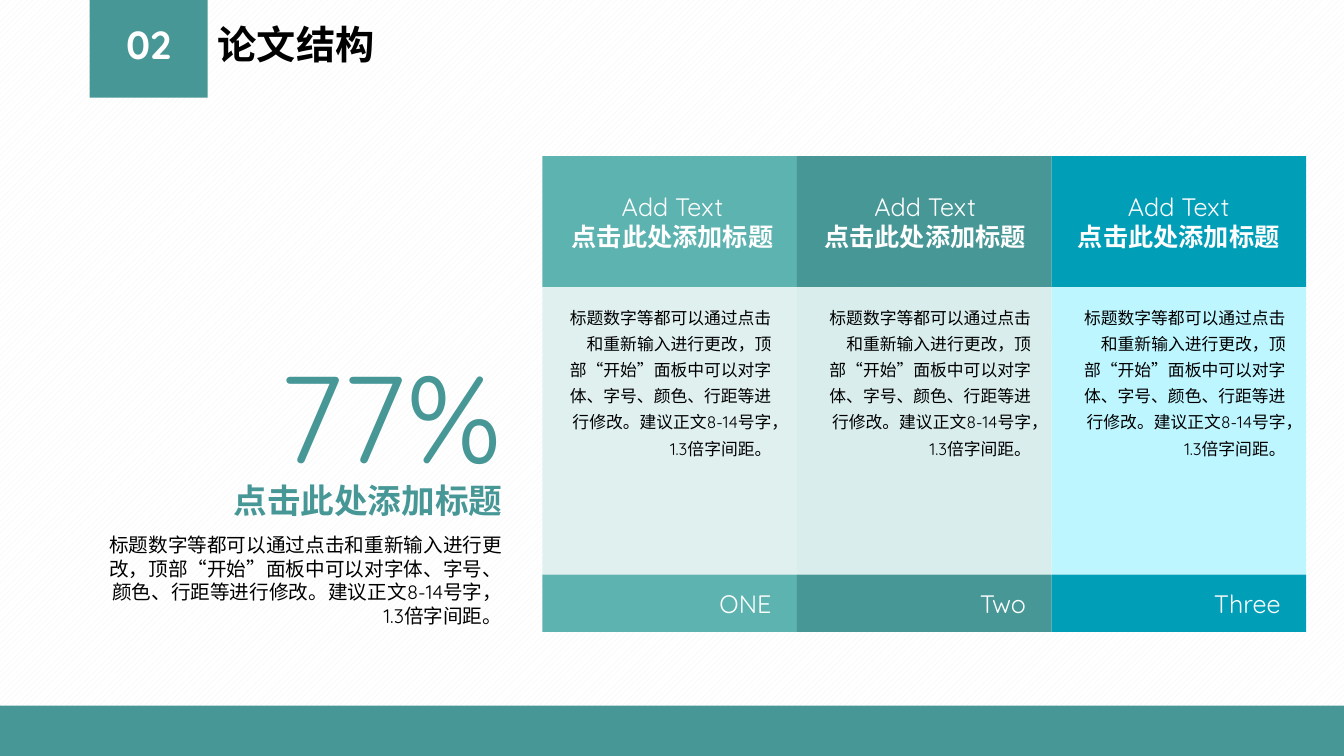
from pptx import Presentation
from pptx.dml.color import RGBColor
from pptx.enum.dml import MSO_PATTERN
from pptx.enum.shapes import MSO_SHAPE
from pptx.enum.text import MSO_ANCHOR, MSO_AUTO_SIZE, PP_ALIGN
from pptx.util import Inches, Pt

FONT = "Quicksand"
TEAL, WHITE, BLACK = "479796", "FFFFFF", "000000"
SLIDE_WIDTH, SLIDE_HEIGHT = 13.33, 7.5

# Left margin and heading row
MARGIN = 0.89
TAB_WIDTH, TAB_HEIGHT = 1.17, 0.97
HEADING_TOP, HEADING_HEIGHT = 0.23, 0.47
SUMMARY_RIGHT = 5.08

# Card grid: three columns of three rows
GRID_LEFT, GRID_TOP = 5.38, 1.55
COLUMN_WIDTH = 2.525
HEADER_ROW, BODY_ROW, FOOTER_ROW = 1.3, 2.85, 0.57
BODY_TOP = GRID_TOP + HEADER_ROW
FOOTER_TOP = BODY_TOP + BODY_ROW

SUBTITLE = "点击此处添加标题"
DESCRIPTION = ("标题数字等都可以通过点击和重新输入进行更改，顶部“开始”面板中可以对字体、"
               "字号、颜色、行距等进行修改。建议正文8-14号字，1.3倍字间距。")

# Footer label, strong fill, pale fill, header text inset, body text inset
CARDS = [
    ("ONE", "5DB3B0", "DFF0EF", 0.18, 0.06),
    ("Two", TEAL, "D8EDEC", 0.16, 0.11),
    ("Three", "009EB7", "BEF6FF", 0.15, 0.11),
]


def color(value):
    return RGBColor.from_string(value)


def inches(*lengths):
    return [Inches(length) for length in lengths]


def add_block(shapes, left, top, width, height, fill):
    block = shapes.add_shape(MSO_SHAPE.RECTANGLE, *inches(left, top, width, height))
    block.shadow.inherit = False
    block.fill.solid()
    block.fill.fore_color.rgb = color(fill)
    block.line.fill.background()


def write_lines(box, lines, size, ink, align, spacing=None):
    """Fill a box with (text, bold) lines that share one style."""
    frame = box.text_frame
    for index, (text, bold) in enumerate(lines):
        para = frame.add_paragraph() if index else frame.paragraphs[0]
        para.text = text
        para.alignment = align
        para.line_spacing = spacing
        para.font.name = FONT
        para.font.size = Pt(size)
        para.font.bold = bold
        para.font.color.rgb = color(ink)


def add_text(shapes, left, top, width, height, lines, size, ink,
             align=PP_ALIGN.RIGHT, wrap=False, spacing=None):
    box = shapes.add_textbox(*inches(left, top, width, height))
    box.text_frame.word_wrap = wrap
    box.text_frame.auto_size = MSO_AUTO_SIZE.SHAPE_TO_FIT_TEXT
    write_lines(box, lines, size, ink, align, spacing)
    return box


def set_background(page):
    fill = page.background.fill
    fill.patterned()
    fill.pattern = MSO_PATTERN.WIDE_UPWARD_DIAGONAL
    fill.fore_color.rgb = color("F2F2F2")
    fill.back_color.rgb = color(WHITE)


def add_heading(page, number, heading):
    add_block(page.shapes, MARGIN, 0, TAB_WIDTH, TAB_HEIGHT, TEAL)
    number_box = add_text(page.shapes, MARGIN, HEADING_TOP, TAB_WIDTH, HEADING_HEIGHT,
                          [(number, True)], 28, WHITE, PP_ALIGN.CENTER, True, 0.9)
    title = page.shapes.title
    title.left, title.top, title.width, title.height = inches(
        MARGIN + TAB_WIDTH, HEADING_TOP, 5.19, HEADING_HEIGHT)
    write_lines(title, [(heading, True)], 28, BLACK, PP_ALIGN.LEFT, 0.9)
    for box in (number_box, title):
        box.text_frame.auto_size = MSO_AUTO_SIZE.NONE
        box.text_frame.vertical_anchor = MSO_ANCHOR.MIDDLE


def add_summary(page):
    rows = [
        (3.33, 2.53, 1.58, "77%", False, 88, TEAL, False),
        (4.71, 2.89, 0.5, SUBTITLE, True, 24, TEAL, False),
        (5.24, 4.19, 1.04, DESCRIPTION, False, 14, BLACK, True),
    ]
    for top, width, height, text, bold, size, ink, wrap in rows:
        add_text(page.shapes, SUMMARY_RIGHT - width, top, width, height,
                 [(text, bold)], size, ink, wrap=wrap)


def add_card(page, column, label, strong, pale, header_inset, body_inset):
    shapes = page.shapes.add_group_shape().shapes
    left = GRID_LEFT + column * COLUMN_WIDTH
    rows = [(GRID_TOP, HEADER_ROW, strong), (BODY_TOP, BODY_ROW, pale),
            (FOOTER_TOP, FOOTER_ROW, strong)]
    for top, height, fill in rows:
        add_block(shapes, left, top, COLUMN_WIDTH, height, fill)
    add_text(shapes, left + header_inset, GRID_TOP + 0.3, 2.22, 0.71,
             [("Add Text", False), (SUBTITLE, True)], 18, WHITE, PP_ALIGN.CENTER)
    add_text(shapes, left + 1.5, FOOTER_TOP + 0.09, 0.87, 0.4,
             [(label, False)], 18, WHITE)
    add_text(shapes, left + body_inset, BODY_TOP + 0.09, 2.31, 1.65,
             [(DESCRIPTION, False)], 12, BLACK, wrap=True, spacing=1.3)


def main():
    deck = Presentation()
    deck.slide_width, deck.slide_height = inches(SLIDE_WIDTH, SLIDE_HEIGHT)
    page = deck.slides.add_slide(deck.slide_layouts.get_by_name("Title Only"))
    set_background(page)

    # Bottom band
    add_block(page.shapes, 0, SLIDE_HEIGHT - 0.5, SLIDE_WIDTH, 0.5, TEAL)

    add_heading(page, "02", "论文结构")
    add_summary(page)
    for column, card in enumerate(CARDS):
        add_card(page, column, *card)

    deck.save("out.pptx")


if __name__ == "__main__":
    main()
